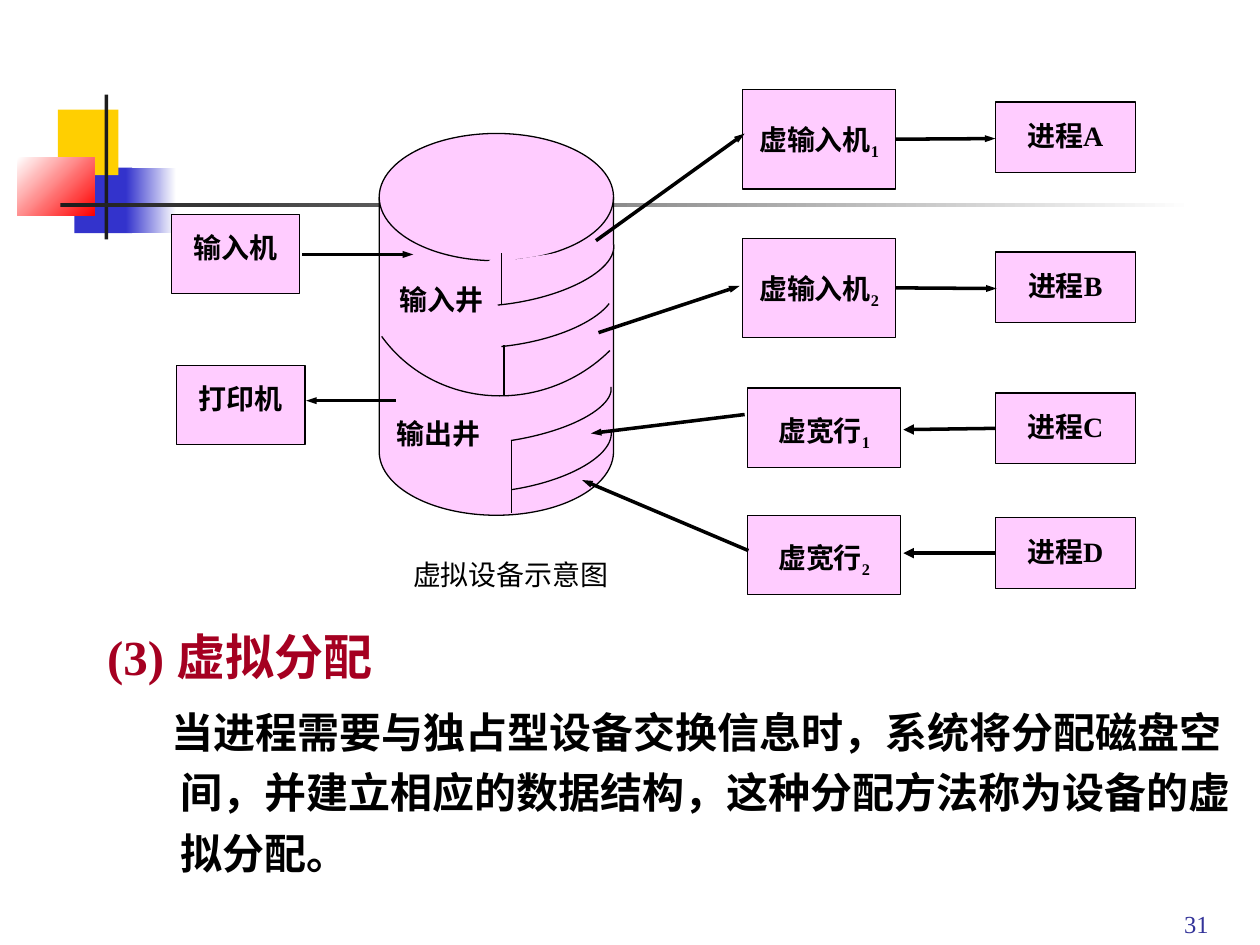
"""Build the virtual device allocation slide."""
from lxml.etree import SubElement
from pptx import Presentation
from pptx.dml.color import RGBColor
from pptx.enum.shapes import MSO_CONNECTOR, MSO_SHAPE
from pptx.enum.text import MSO_ANCHOR, MSO_AUTO_SIZE, PP_ALIGN
from pptx.oxml.ns import qn
from pptx.util import Inches, Pt

rgb = RGBColor.from_string
PINK, BLACK, BLUE = "FFCCFF", "000000", "3333CC"


def write(p, text, size=16, color=BLACK, bold=True, align=PP_ALIGN.LEFT,
          spacing=1.0, before=0, sub=""):
    p.alignment, p.line_spacing, p.space_before = align, spacing, Pt(before)
    for part in filter(None, (text, sub)):
        r = p.add_run()
        r.text = part
        r.font.name, r.font.size, r.font.bold = "Times New Roman", Pt(size), bold
        r.font.color.rgb = rgb(color)
    if sub:
        r._r.get_or_add_rPr().set("baseline", "-25000")


def paint(sp, fill, line=None, end=None, angle=0):
    sp.shadow.inherit = False
    if end:
        sp.fill.gradient()
        sp.fill.gradient_angle = angle
        for stop, color in zip(sp.fill.gradient_stops, (fill, end)):
            stop.color.rgb = rgb(color)
    else:
        sp.fill.solid()
        sp.fill.fore_color.rgb = rgb(fill)
    if line:
        sp.line.color.rgb = rgb(line)
        sp.line.width = Pt(0.75)
    else:
        sp.line.fill.background()


prs = Presentation()
prs.slide_width, prs.slide_height = Inches(10), Inches(7.5)
U = prs.slide_width // 100
s = prs.slides.add_slide(prs.slide_layouts[1])
title, body = s.placeholders
title.element.getparent().remove(title.element)

for box, fill, end, angle in [
    ((5.9, 13.3, 4.6, 5.2), BLUE, None, 0),
    ((4.6, 8.7, 4.8, 5.2), "FFCF01", None, 0),
    ((10, 13.3, 4, 5.2), BLUE, "FFFFFF", 0),
    ((1.4, 12.5, 6.1, 4.6), "FFFFFF", "FF0000", 315),
    ((8.3, 7.5, 0.3, 11.5), "1C1C1C", None, 0),
    ((4.8, 16.1, 90, 0.3), "1C1C1C", "FFFFFF", 0),
]:
    sp = s.shapes.add_shape(MSO_SHAPE.RECTANGLE, *(int(v * U) for v in box))
    paint(sp, fill, end=end, angle=angle)

body.left, body.top, body.width, body.height = (int(v * U) for v in (7.5, 48.3, 92.2, 21.9))
tf = body.text_frame
tf.auto_size = MSO_AUTO_SIZE.NONE
for i, (text, size, color, indent, before) in enumerate([
    ("(3) 虚拟分配", 28, "A50021", -0.58, 0),
    ("当进程需要与独占型设备交换信息时，系统将分配磁盘空间，并建立相应的数据结构，"
     "这种分配方法称为设备的虚拟分配。", 24, BLACK, -0.07, 6),
]):
    p = tf.add_paragraph() if i else tf.paragraphs[0]
    pPr = p._p.get_or_add_pPr()
    pPr.set("marL", str(Inches(0.58)))
    pPr.set("indent", str(Inches(indent)))
    SubElement(pPr, qn("a:buNone"))
    write(p, text, size, color, spacing=1.2, before=before)

disk = s.shapes.add_shape(MSO_SHAPE.FLOWCHART_MAGNETIC_DISK,
                          *(int(v * U) for v in (30.1, 10.6, 18.6, 30.3)))
paint(disk, PINK, BLACK)

for x, y, rx, ry, turn, start, stop in [
    (40.1, 19.8, 12, 11.5, 151.2, 252.8, 353.7),
    (40.1, 32, 8.5, 3, 351.2, 0, 90),
    (40.1, 35.5, 8.5, 3.4, 351.2, 0, 90),
    (40.4, 24, 8.5, 3.4, 351.2, 9.5, 108.5),
    (40.2, 20.7, 8.6, 3.4, 351.2, 0, 110),
]:
    sp = s.shapes.add_shape(MSO_SHAPE.ARC,
                            *(int(v * U) for v in (x - rx, y - ry, 2 * rx, 2 * ry)))
    sp.adjustments[0], sp.adjustments[1] = start * 0.6, stop * 0.6
    sp.rotation = turn
    paint(sp, PINK, BLACK)

for x, top, bottom in ((39.8, 20.1, 24.1), (40, 27.4, 31.4), (40.6, 34.9, 40.7)):
    c = s.shapes.add_connector(MSO_CONNECTOR.STRAIGHT,
                               *(int(v * U) for v in (x, top, x, bottom)))
    c.line.color.rgb, c.line.width = rgb(BLACK), Pt(0.75)
    SubElement(c._element.spPr, qn("a:effectLst"))

boxes = {}
for text, sub, box, spacing in [
    ("虚宽行", "1", (59.3, 30.8, 12.2, 6.3), 1.5),
    ("虚宽行", "2", (59.3, 40.9, 12.2, 6.3), 1.5),
    ("进程A", "", (79, 8.1, 11.1, 5.6), 1.3),
    ("进程B", "", (79, 20, 11.1, 5.6), 1.3),
    ("进程C", "", (79, 31.2, 11.1, 5.6), 1.3),
    ("进程D", "", (79, 41.1, 11.1, 5.6), 1.3),
    ("输入机", "", (13.6, 17, 10.2, 6.3), 1.3),
    ("打印机", "", (14, 29, 10.2, 6.3), 1.3),
    ("虚输入机", "1", (58.9, 7.1, 12.2, 7.9), 1.7),
    ("虚输入机", "2", (58.9, 18.9, 12.2, 7.9), 1.7),
]:
    sp = s.shapes.add_shape(MSO_SHAPE.RECTANGLE, *(int(v * U) for v in box))
    paint(sp, PINK, BLACK)
    sp.text_frame.vertical_anchor = MSO_ANCHOR.TOP
    write(sp.text_frame.paragraphs[0], text, align=PP_ALIGN.CENTER, spacing=spacing, sub=sub)
    boxes[text + sub] = sp

for text, box, style in [
    ("输入井", (30.7, 21.9, 9.9, 4.6), {"align": PP_ALIGN.JUSTIFY}),
    ("输出井", (30.5, 32.6, 9.5, 5.6), {"align": PP_ALIGN.JUSTIFY}),
    ("虚拟设备示意图", (31.8, 43.8, 19.8, 3.7), {"bold": False}),
    ("31", (92.9, 71.2, 4.1, 3.8),
     {"size": 14, "color": "333399", "bold": False, "align": PP_ALIGN.CENTER, "spacing": 1.2}),
]:
    tf = s.shapes.add_textbox(*(int(v * U) for v in box)).text_frame
    tf.word_wrap = True
    write(tf.paragraphs[0], text, **style)

for begin, end, head in [
    (("虚输入机1", 3), (79, 11), "sm"),
    (("虚输入机2", 3), (79.1, 22.9), "sm"),
    (("进程C", 1), (71.7, 34.1), "med"),
    (("进程D", 1), (71.7, 43.9), "med"),
    ((24, 20.2), (32.8, 20.2), "sm"),
    ((31.4, 31.8), (24.3, 31.8), "sm"),
    ((47.3, 19.1), (59.1, 10.6), "sm"),
    ((47.5, 26.4), (58.7, 22.7), "sm"),
    ((59.1, 32.9), (46.9, 34.4), "sm"),
    ((59.4, 43.7), (46.2, 38.1), "sm"),
]:
    start = (0, 0) if begin[0] in boxes else begin
    c = s.shapes.add_connector(MSO_CONNECTOR.STRAIGHT, *(int(v * U) for v in start + end))
    if begin[0] in boxes:
        c.begin_connect(boxes[begin[0]], begin[1])
    c.line.color.rgb, c.line.width = rgb(BLACK), Pt(2)
    SubElement(c._element.spPr.find(qn("a:ln")), qn("a:tailEnd"),
               type="triangle", w=head, len="med")
    SubElement(c._element.spPr, qn("a:effectLst"))

prs.save("out.pptx")
